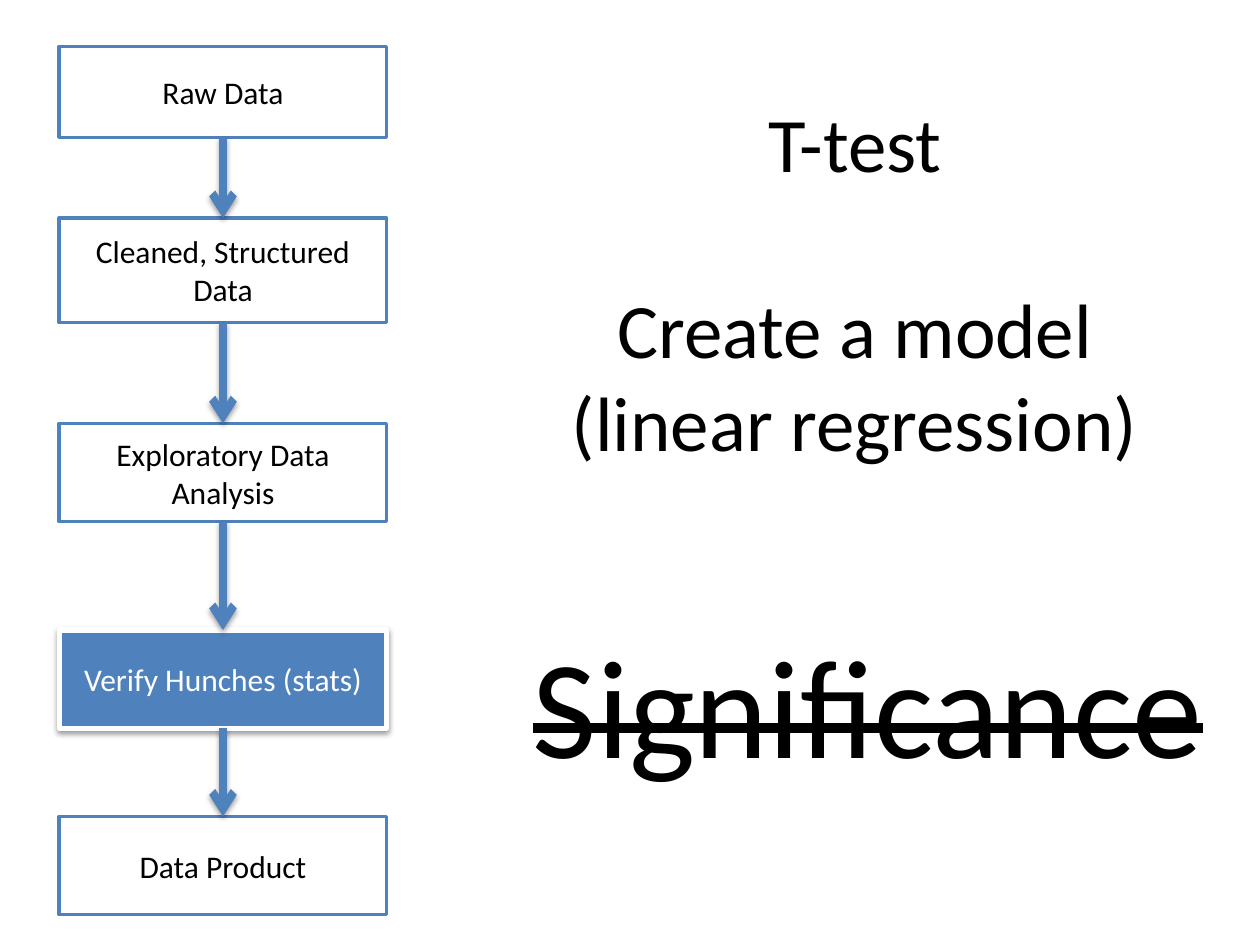
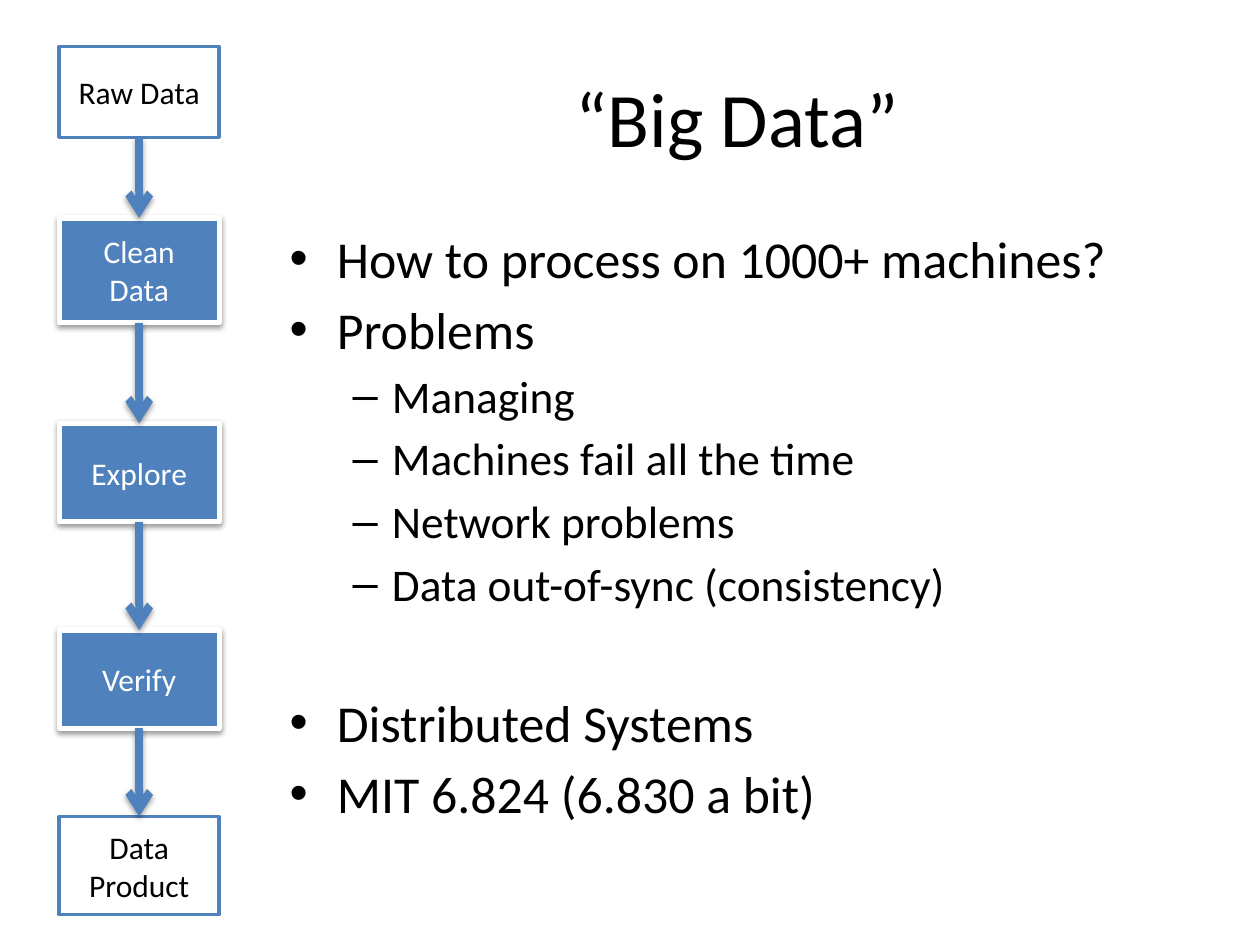
from itertools import pairwise

from lxml.etree import SubElement
from pptx import Presentation
from pptx.dml.color import RGBColor
from pptx.enum.shapes import MSO_CONNECTOR, MSO_SHAPE
from pptx.enum.text import MSO_ANCHOR, PP_ALIGN
from pptx.oxml.ns import qn
from pptx.util import Pt

# Shared style
FONT = "Calibri"
BLUE, WHITE, BLACK = "4F81BD", "FFFFFF", "000000"

# Flow chart: top and height of each step, the same on both slides
LEFT = 33.84
ROWS = [(26.64, 51.84), (124.56, 59.76), (241.92, 56.16),
        (360, 56.16), (466.56, 56.16)]

# Content: (label, highlighted)
LONG = [("Raw Data", False), ("Cleaned, Structured Data", False),
        ("Exploratory Data Analysis", False),
        ("Verify Hunches (stats)", True), ("Data Product", False)]
SHORT = [("Raw Data", False), ("Clean Data", True), ("Explore", True),
         ("Verify", True), ("Data Product", False)]

# Content: (level, text, space before)
POINTS = [(0, "How to process on 1000+ machines?", 5),
          (0, "Problems", 5),
          (1, "Managing", 4.7),
          (1, "Machines fail all the time", 4.7),
          (1, "Network problems", 4.7),
          (1, "Data out-of-sync (consistency)", 4.7),
          (0, "Distributed Systems", 46),
          (0, "MIT 6.824 (6.830 a bit)", 5)]
# Per level: bullet, size, left margin, hanging indent
LEVELS = [("•", 29.6, 27, 27), ("–", 25.9, 58.5, 22.5)]


def paint(color, tone):
    color.rgb = RGBColor.from_string(tone)


def write(para, text, size=18, color=BLACK, align=PP_ALIGN.CENTER,
          before=0, strike=False):
    para.alignment = align
    para.space_before = Pt(before)
    run = para.add_run()
    run.text = text
    run.font.name, run.font.size = FONT, Pt(size)
    paint(run.font.color, color)
    if strike:
        run._r.get_or_add_rPr().set("strike", "sngStrike")


def add_para(frame, first):
    return frame.paragraphs[0] if first else frame.add_paragraph()


def add_text(slide, x, y, w, h, wrap=False):
    frame = slide.shapes.add_textbox(Pt(x), Pt(y), Pt(w), Pt(h)).text_frame
    frame.word_wrap = wrap
    return frame


def drop_shadow(props):
    effects = props.find(qn("a:effectLst"))
    if effects is None:
        effects = SubElement(props, qn("a:effectLst"))
    outer = SubElement(effects, qn("a:outerShdw"), blurRad="40000",
                       dist="20000", dir="5400000", rotWithShape="0")
    tone = SubElement(outer, qn("a:srgbClr"), val=BLACK)
    SubElement(tone, qn("a:alpha"), val="38000")


def add_step(slide, label, lit, top, width, height):
    box = slide.shapes.add_shape(MSO_SHAPE.RECTANGLE, Pt(LEFT), Pt(top),
                                 Pt(width), Pt(height))
    box.shadow.inherit = False
    box.fill.solid()
    paint(box.fill.fore_color, BLUE if lit else WHITE)
    paint(box.line.color, WHITE if lit else BLUE)
    box.line.width = Pt(3 if lit else 2)
    if lit:
        drop_shadow(box._element.spPr)
    box.text_frame.vertical_anchor = MSO_ANCHOR.MIDDLE
    write(box.text_frame.paragraphs[0], label, color=WHITE if lit else BLACK)
    return box


def add_arrow(slide, start, end):
    arrow = slide.shapes.add_connector(MSO_CONNECTOR.STRAIGHT, 0, 0, 0, 0)
    arrow.begin_connect(start, 2)
    arrow.end_connect(end, 0)
    paint(arrow.line.color, BLUE)
    arrow.line.width = Pt(4.5)
    SubElement(arrow.line._get_or_add_ln(), qn("a:tailEnd"), type="arrow")
    drop_shadow(arrow._element.spPr)


def add_flow(slide, steps, width):
    boxes = [add_step(slide, label, lit, top, width, height)
             for (label, lit), (top, height) in zip(steps, ROWS)]
    for start, end in pairwise(boxes):
        add_arrow(slide, start, end)


def add_bullet(para, mark, margin, hang):
    props = para._p.get_or_add_pPr()
    props.set("marL", str(Pt(margin)))
    props.set("indent", str(-Pt(hang)))
    SubElement(props, qn("a:buFont"), typeface="Arial")
    SubElement(props, qn("a:buChar"), char=mark)


def stats_slide(deck):
    slide = deck.slides.add_slide(deck.slide_layouts[6])
    frame = add_text(slide, 317.5, 51.1, 342, 220.3)
    lines = [("T-test", 0), ("Create a model", 53.7),
             ("(linear regression)", 0)]
    for i, (text, before) in enumerate(lines):
        write(add_para(frame, i == 0), text, size=44, before=before)
    frame = add_text(slide, 297.4, 349.9, 401.8, 104.4)
    write(frame.paragraphs[0], "Significance", size=80,
          align=PP_ALIGN.LEFT, strike=True)
    add_flow(slide, LONG, 187.2)


def data_slide(deck):
    slide = deck.slides.add_slide(deck.slide_layouts[5])
    title = slide.shapes.title
    title.left, title.top = Pt(158.4), Pt(21.6)
    title.width, title.height = Pt(525.6), Pt(90)
    title.text_frame.vertical_anchor = MSO_ANCHOR.MIDDLE
    write(title.text_frame.paragraphs[0], "“Big Data”", size=44)
    add_flow(slide, SHORT, 91.44)
    # Bulleted list
    frame = add_text(slide, 158.4, 126, 525.6, 356.4, wrap=True)
    for i, (level, text, before) in enumerate(POINTS):
        mark, size, margin, hang = LEVELS[level]
        para = add_para(frame, i == 0)
        para.level = level
        write(para, text, size=size, align=PP_ALIGN.LEFT, before=before)
        add_bullet(para, mark, margin, hang)


def main():
    deck = Presentation()
    deck.slide_width, deck.slide_height = Pt(720), Pt(540)
    stats_slide(deck)
    data_slide(deck)
    deck.save("out.pptx")


if __name__ == "__main__":
    main()
